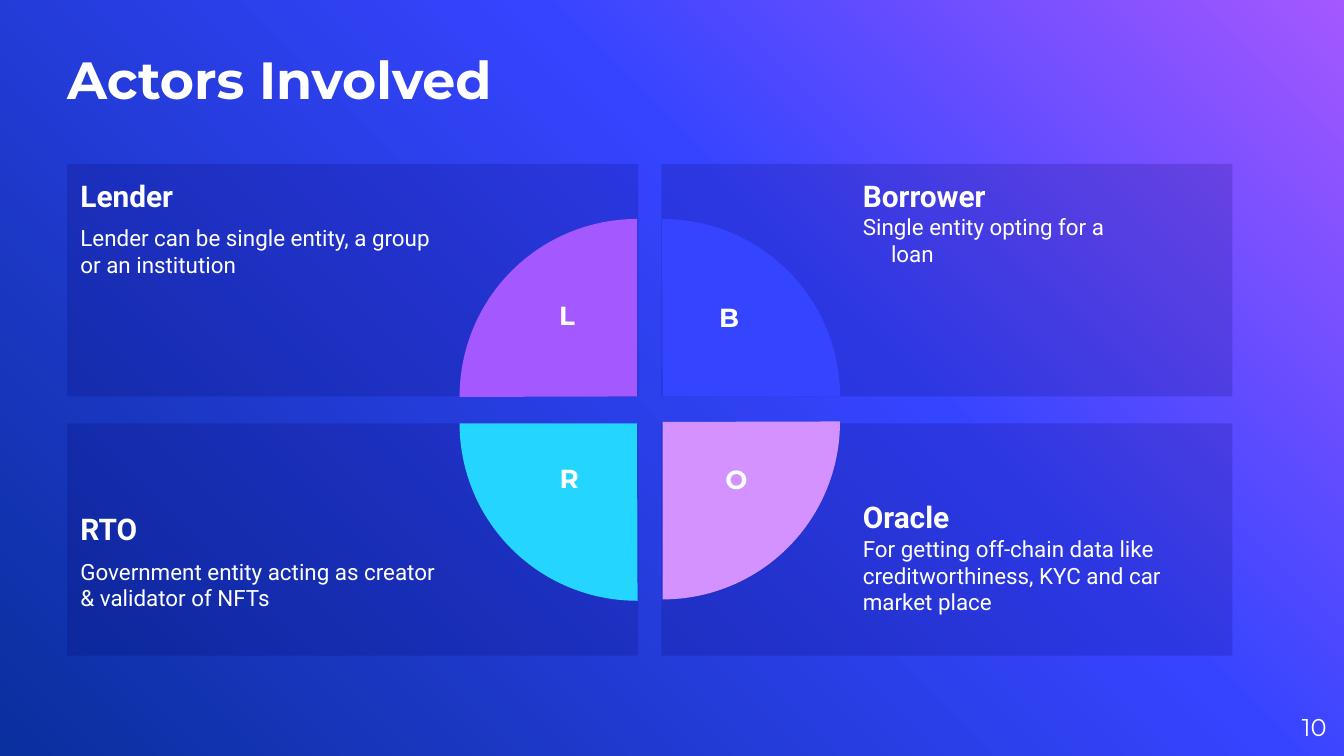
from copy import deepcopy

from lxml.etree import SubElement
from pptx import Presentation
from pptx.dml.color import RGBColor as RGB
from pptx.enum.shapes import MSO_SHAPE as Kind
from pptx.enum.text import MSO_ANCHOR as Anchor, MSO_AUTO_SIZE as Fit, PP_ALIGN as Align
from pptx.oxml.ns import qn
from pptx.util import Inches, Pt

HEX = {
    "white": "FFFFFF", "card": "050060", "violet": "A458FF",
    "blue": "3544FF", "navy": "0A2F9E", "pink": "D392FF", "cyan": "24D6FF",
}
HEAD, BODY = "Montserrat", "Roboto"
LEFT, TOP = 0.5, 1.22
WIDE, HIGH = 4.25, 1.73
STEP_X, STEP_Y = 4.42, 1.93
PIE = 2.64
HANG = 0.21

CARDS = [
    ("Lender", "Lender can be single entity, a group or an institution", 6, 0.1),
    ("Borrower", "Single entity opting for a\vloan", 0, 0.1),
    ("RTO", "Government entity acting as creator & validator of NFTs", 6, 0.33),
    ("Oracle", "For getting off-chain data like creditworthiness, KYC and car market place", 0, 0.3),
]
PIES = [
    (3.42, 1.63, "violet"),
    (3.61, 1.63, "blue"),
    (3.61, 1.82, "pink"),
    (3.42, 1.83, "cyan"),
]
MARKS = [
    ("L", 4.03, 2.18, 0.38, 0.51),
    ("B", 5.14, 2.19, 0.57, 0.46),
    ("R", 3.99, 3.39, 0.49, 0.51),
    ("O", 5.26, 3.4, 0.44, 0.51),
]


def color(name):
    return RGB.from_string(HEX[name])


def style(para, size, face, bold=False, align=Align.LEFT):
    para.alignment = align
    for run in para.runs:
        font = run.font
        font.size, font.name, font.bold = Pt(size), face, bold
        font.color.rgb = color("white")


def pad(frame, left, top, right, bottom):
    frame.margin_left, frame.margin_top = Inches(left), Inches(top)
    frame.margin_right, frame.margin_bottom = Inches(right), Inches(bottom)


def hang(para):
    props = para._p.get_or_add_pPr()
    props.set("marL", str(Inches(HANG)))
    props.set("indent", str(-Inches(HANG)))


def paint_back(slide):
    fill = slide.background.fill
    fill.gradient()
    fill.gradient_angle = 225
    last = list(slide.element.iter(qn("a:gs")))[-1]
    last.addprevious(deepcopy(last))
    stops = [(0, "violet"), (0.39, "blue"), (1, "navy")]
    for stop, (place, name) in zip(fill.gradient_stops, stops):
        stop.position = place
        stop.color.rgb = color(name)


def set_title(slide, text):
    title = slide.shapes.title
    title.left, title.top = Inches(LEFT), Inches(0.17)
    title.width, title.height = Inches(6.58), Inches(0.65)
    frame = title.text_frame
    frame.text = text
    frame.auto_size = Fit.NONE
    frame.vertical_anchor = Anchor.BOTTOM
    pad(frame, 0, 0, 0, 0)
    style(frame.paragraphs[0], 28, HEAD, True)


def add_label(slide, text, box, size, bold=True, align=Align.CENTER):
    frame = slide.shapes.add_textbox(*map(Inches, box)).text_frame
    frame.word_wrap = True
    frame.text = text
    style(frame.paragraphs[0], size, HEAD, bold, align)
    return frame


def add_solid(slide, kind, box, name):
    shape = slide.shapes.add_shape(kind, *map(Inches, box))
    shape.shadow.inherit = False
    shape.fill.solid()
    shape.fill.fore_color.rgb = color(name)
    shape.line.fill.background()
    return shape


def add_card(slide, spot, head, text, gap, base):
    row, col = divmod(spot, 2)
    box = (LEFT + col * STEP_X, TOP + row * STEP_Y, WIDE, HIGH)
    card = add_solid(slide, Kind.RECTANGLE, box, "card")
    tint = card.element.spPr.find(qn("a:solidFill"))[0]
    SubElement(tint, qn("a:alpha")).set("val", "18000")
    frame = card.text_frame
    frame.word_wrap = True
    frame.vertical_anchor = Anchor.BOTTOM if row else Anchor.TOP
    pad(frame, 1.5 if col else 0.1, 0.1, 0.1 if col else 1.5, base)
    frame.text = head
    style(frame.paragraphs[0], 16, BODY, True)
    para = frame.add_paragraph()
    para.text = text
    para.space_before = Pt(gap)
    style(para, 12, BODY)
    if "\v" in text:
        hang(para)


def add_pie(slide, turn, left, top, name):
    pie = add_solid(slide, Kind.PIE, (left, top, PIE, PIE), name)
    pie.adjustments[0] = 107.89
    pie.adjustments[1] = 162
    pie.rotation = turn * 90


def main():
    deck = Presentation()
    deck.slide_width = Inches(10)
    deck.slide_height = deck.slide_width * 9 // 16
    slide = deck.slides.add_slide(deck.slide_layouts[5])
    paint_back(slide)
    set_title(slide, "Actors Involved")
    page = add_label(slide, "10", (9.27, 5.19, 0.6, 0.43), 13, False, Align.RIGHT)
    page.vertical_anchor = Anchor.MIDDLE
    pad(page, 0, 0, 0, 0)
    for spot, card in enumerate(CARDS):
        add_card(slide, spot, *card)
    for turn, pie in enumerate(PIES):
        add_pie(slide, turn, *pie)
    for text, *box in MARKS:
        add_label(slide, text, box, 14)
    deck.save("out.pptx")


if __name__ == "__main__":
    main()
